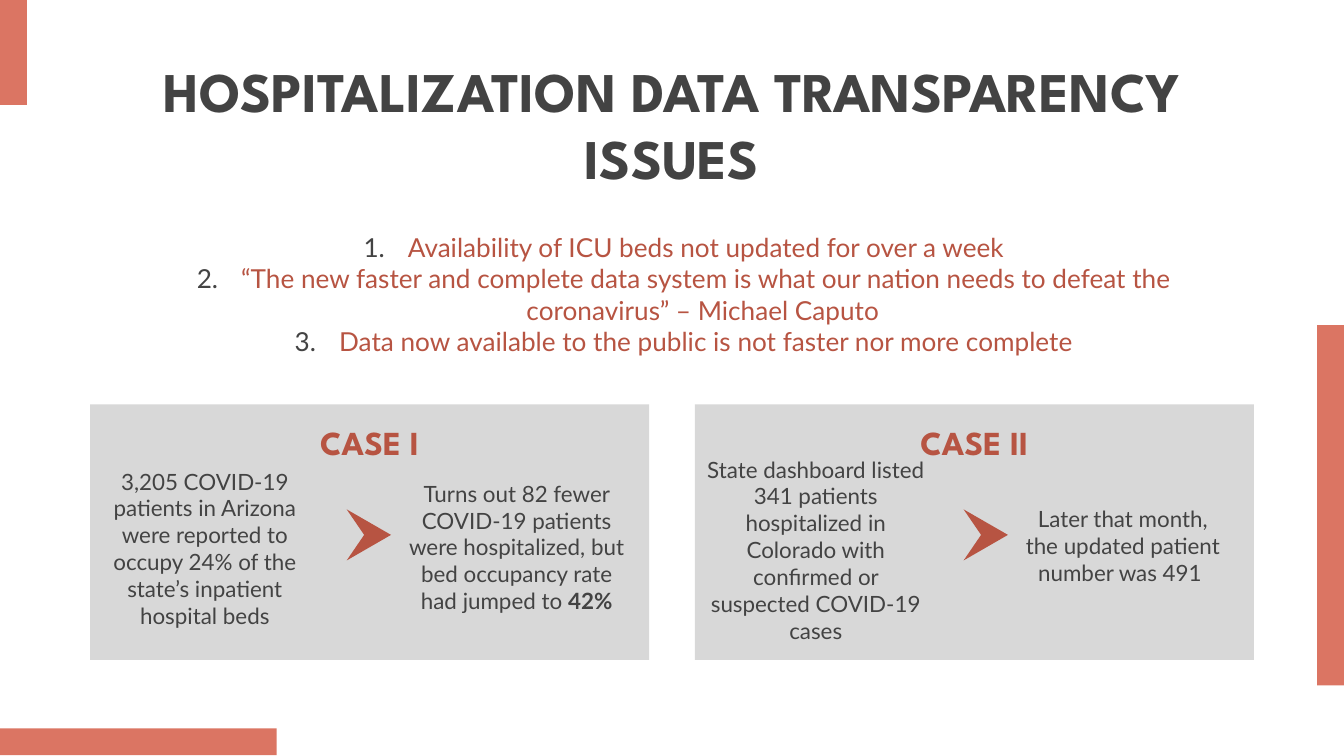
"""Build a slide on hospitalization data transparency issues."""
from lxml import etree
from pptx import Presentation
from pptx.dml.color import RGBColor
from pptx.enum.shapes import MSO_SHAPE
from pptx.enum.text import MSO_ANCHOR, PP_ALIGN
from pptx.oxml.ns import qn
from pptx.util import Inches, Pt

RECT = MSO_SHAPE.RECTANGLE
TOP, MIDDLE, BOTTOM = MSO_ANCHOR.TOP, MSO_ANCHOR.MIDDLE, MSO_ANCHOR.BOTTOM
CENTER = PP_ALIGN.CENTER
COLORS = {"coral": "DB7563", "rust": "B75442", "gray": "D8D8D8", "ink": "434343"}
HEAD, BODY = "League Spartan", "Lato"

deck = Presentation()
deck.slide_width, deck.slide_height = Inches(10), Inches(10 * 9 / 16)
slide = deck.slides.add_slide(deck.slide_layouts[6])
shapes = slide.shapes


def paint(shape, color):
    shape.shadow.inherit = False
    shape.fill.solid()
    shape.fill.fore_color.rgb = RGBColor.from_string(COLORS[color])
    shape.line.fill.background()


def write(lines, box, size=12, font=BODY, color="ink", bold=False,
          anchor=TOP, margin=0, numbered=False):
    frame = shapes.add_textbox(*map(Inches, box)).text_frame
    frame.word_wrap = True
    frame.vertical_anchor = anchor
    frame.margin_left = frame.margin_right = Inches(0.1)
    frame.margin_top = frame.margin_bottom = Inches(0.1)
    for i, parts in enumerate(lines):
        para = frame.add_paragraph() if i else frame.paragraphs[0]
        para.alignment = CENTER
        props = para._p.get_or_add_pPr()
        props.set("marL", str(Inches(margin)))
        if numbered:
            props.set("indent", str(Inches(-0.33)))
            tint = etree.SubElement(props, qn("a:buClr"))
            etree.SubElement(tint, qn("a:srgbClr"), val=COLORS["ink"])
            etree.SubElement(props, qn("a:buFont"), typeface=font)
            etree.SubElement(props, qn("a:buAutoNum"), type="arabicPeriod")
        for j, text in enumerate(parts):
            run = para.add_run()
            run.text = text
            run.font.size = Pt(size)
            run.font.name = font
            run.font.bold = bold or j > 0
            run.font.color.rgb = RGBColor.from_string(COLORS[color])


bars = [(0, 0, 0.2, 0.78), (0, 5.42, 2.06, 0.2), (9.8, 2.42, 0.2, 2.68)]
for bar in bars:
    paint(shapes.add_shape(RECT, *map(Inches, bar)), "coral")

write([["HOSPITALIZATION DATA TRANSPARENCY ISSUES"]], (0.78, 0.53, 8.44, 0.78),
      size=30, font=HEAD, bold=True, anchor=MIDDLE)

issues = [
    ["Availability of ICU beds not updated for over a week"],
    ["“The new faster and complete data system is what our nation needs "
     "to defeat the coronavirus” – Michael Caputo "],
    ["Data now available to the public is not faster nor more complete"],
]
write(issues, (0.67, 1.62, 8.67, 1.15), size=14, color="rust",
      margin=0.5, numbered=True)

cases = [
    ("CASE I", 0.67, 2.58,
     ["3,205 COVID-19 patients in Arizona were reported to occupy 24% "
      "of the state’s inpatient hospital beds"], (0.43, 3.38, 2.03, 1.15),
     ["Turns out 82 fewer COVID-19 patients were hospitalized, but bed "
      "occupancy rate had jumped to ", "42%"], (2.75, 3.47, 2.03, 1.15)),
    ("CASE II", 5.17, 7.17,
     ["State dashboard listed 341 patients hospitalized in Colorado with "
      "confirmed or suspected COVID-19 cases"], (5, 3.29, 1.98, 1.15),
     ["Later that month, the updated patient number was 491 "],
     (7.33, 3.66, 1.89, 1.15)),
]
for name, left, tip, claim, spot, fact, place in cases:
    card = (left, 3.01, 4.16, 1.9)
    paint(shapes.add_shape(RECT, *map(Inches, card)), "gray")
    write([[name]], (left + 1.24, 3.01, 1.68, 0.53), size=18, font=HEAD,
          color="rust", bold=True, anchor=BOTTOM)
    write([claim], spot, margin=0.16)
    write([fact], place, margin=0.16)
    path = shapes.build_freeform(Inches(tip), Inches(3.79))
    path.add_line_segments([
        (Inches(tip + dx), Inches(y))
        for dx, y in [(0.13, 3.98), (0, 4.17), (0.33, 3.98)]])
    paint(path.convert_to_shape(), "rust")

deck.save("out.pptx")
